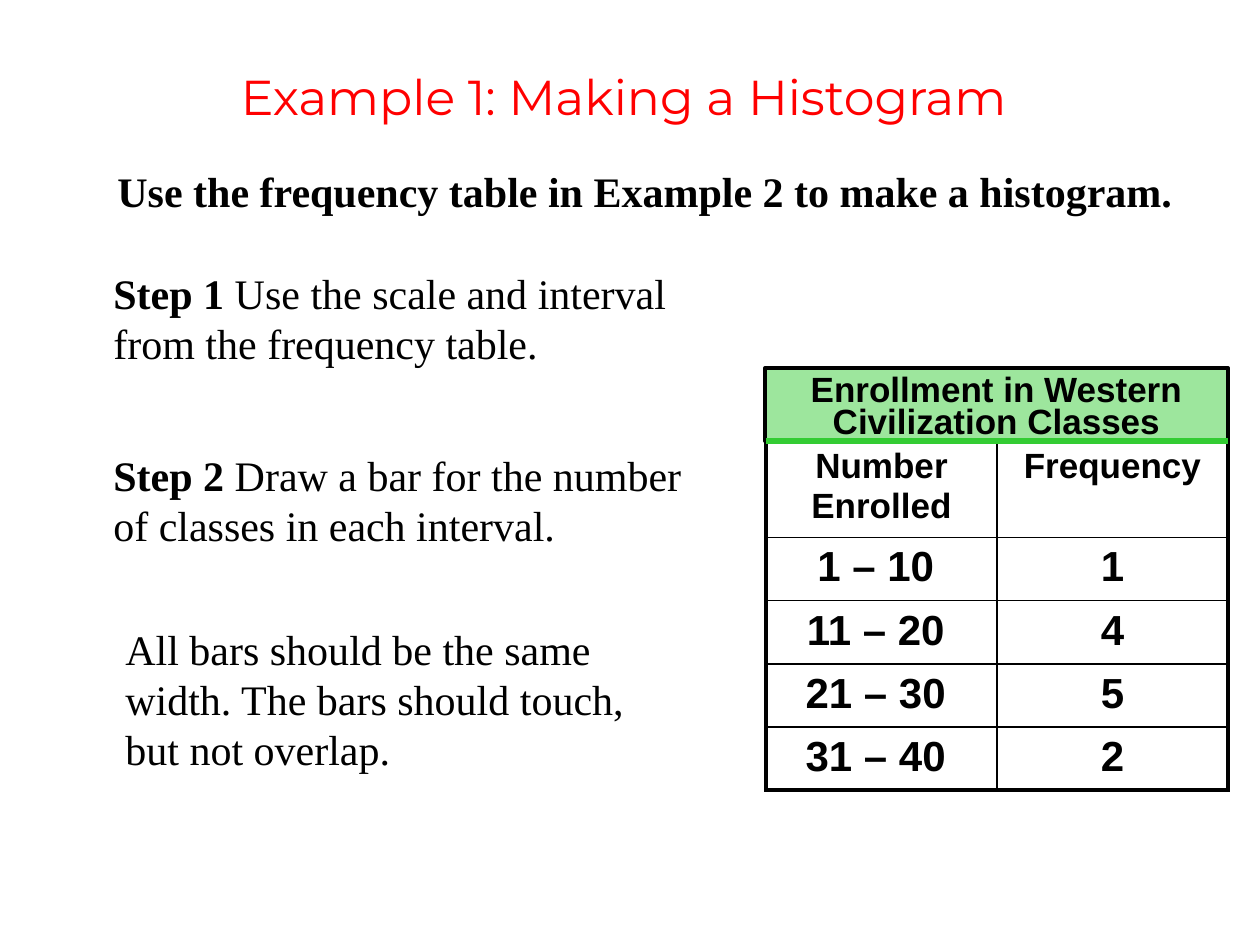
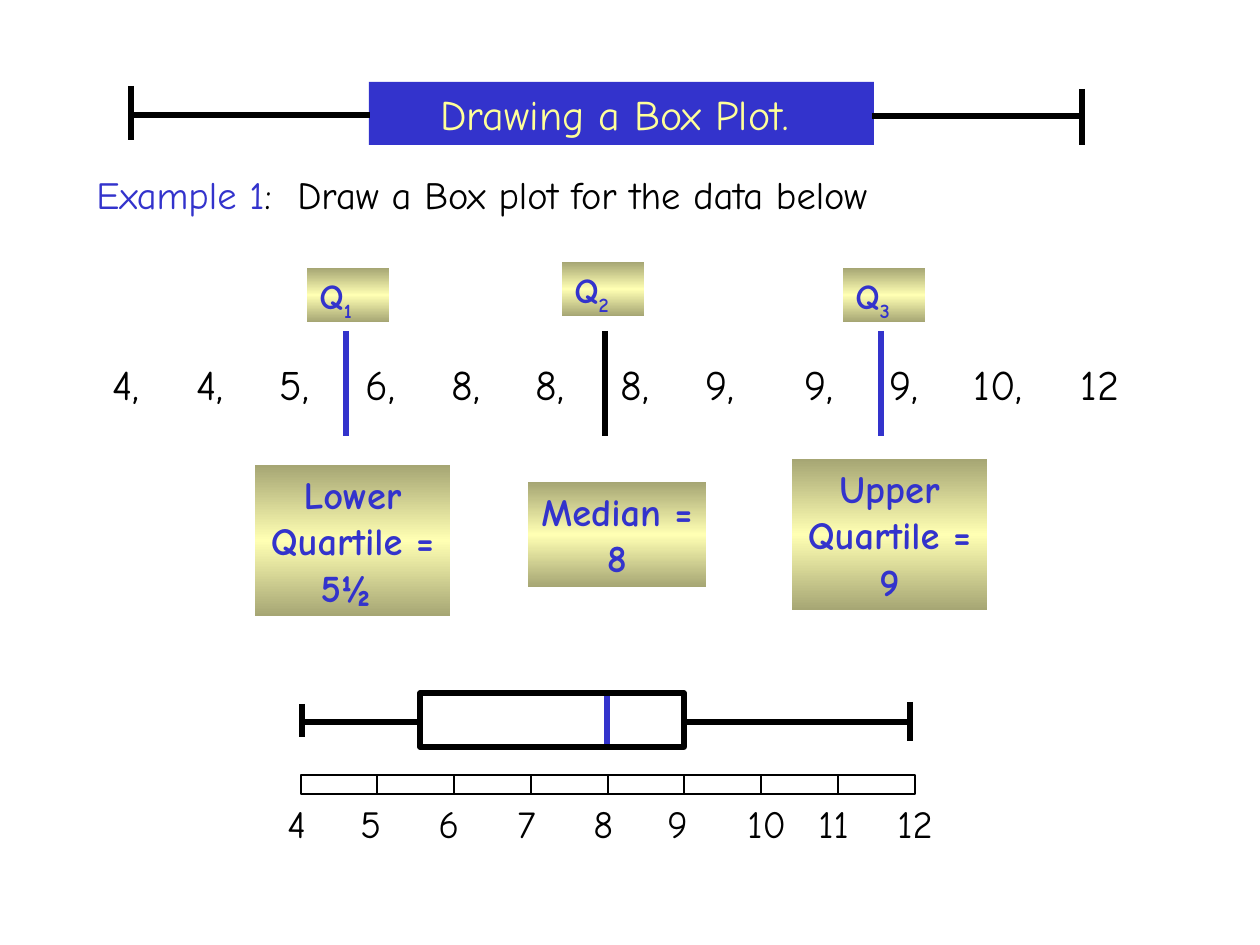
"""Build two statistics slides: making a histogram and drawing a box plot."""
from copy import deepcopy

from lxml import etree
from pptx import Presentation
from pptx.dml.color import RGBColor
from pptx.enum.shapes import MSO_CONNECTOR, MSO_SHAPE
from pptx.enum.text import MSO_ANCHOR, PP_ALIGN
from pptx.oxml.ns import qn
from pptx.util import Emu, Pt

PX = 914400 / 126
RECTANGLE = MSO_SHAPE.RECTANGLE
STRAIGHT = MSO_CONNECTOR.STRAIGHT
TOP, MIDDLE = MSO_ANCHOR.TOP, MSO_ANCHOR.MIDDLE
LEFT, CENTER = PP_ALIGN.LEFT, PP_ALIGN.CENTER


class Theme:
    """Colours, line widths and text styles."""
    black, red, blue = "000000", "FF0000", "3333CC"
    green, yellow = "33CC33", "FFFF99"
    gradient = ("A6A674", "FFFFB3")
    thin, fine, medium, thick = 0.75, 1, 2.25, 3
    styles = {
        "title": ("Montserrat", 28, False, red),
        "body": ("Times New Roman", 24, False, black),
        "strong": ("Times New Roman", 24, True, black),
        "heading": ("Arial", 20, True, black),
        "count": ("Arial", 24, True, black),
        "banner": ("Comic Neue", 24, False, yellow),
        "data": ("Comic Neue", 24, False, black),
        "plain": ("Comic Neue", 22, False, black),
        "example": ("Comic Neue", 22, False, blue),
        "quartile": ("Comic Neue", 22, True, blue),
        "symbol": ("Comic Neue", 20, True, blue),
        "subscript": ("Comic Neue", 20, True, blue),
    }


def write(frame, paragraphs, align=LEFT, anchor=TOP, tabs=()):
    """Fill a text frame with paragraphs made of (text, style) spans."""
    frame.word_wrap = True
    frame.vertical_anchor = anchor
    for index, spans in enumerate(paragraphs):
        para = frame.paragraphs[0] if index == 0 else frame.add_paragraph()
        para.alignment = align
        if tabs:
            stops = etree.SubElement(para._p.get_or_add_pPr(), qn("a:tabLst"))
            for stop in tabs:
                etree.SubElement(stops, qn("a:tab"), pos=str(round(stop * PX)), algn="l")
        for text, style in spans:
            span = para.add_run()
            span.text = text
            name, size, bold, colour = Theme.styles[style]
            for key, value in {"name": name, "size": Pt(size), "bold": bold}.items():
                setattr(span.font, key, value)
            span.font.color.rgb = RGBColor.from_string(colour)
            if style == "subscript":
                span.font._element.set("baseline", "-25000")


def draw(page, kind, bounds, fill=None, line=None, width=Theme.thick):
    """Add a text box, rectangle or line; a line's bounds are its two ends."""
    lengths = [Emu(round(value * PX)) for value in bounds]
    if kind == "text":
        return page.shapes.add_textbox(*lengths)
    if kind == "line":
        item = page.shapes.add_connector(STRAIGHT, *lengths)
        etree.SubElement(item._element.spPr, qn("a:effectLst"))
    else:
        item = page.shapes.add_shape(RECTANGLE, *lengths)
        item.shadow.inherit = False
        if fill == Theme.gradient:
            item.fill.gradient()
            item.fill.gradient_angle = 90
            for stop, colour, position in zip(item.fill.gradient_stops, fill, (0, 0.5)):
                stop.color.rgb = RGBColor.from_string(colour)
                stop.position = position
            stops = item._element.spPr.find(".//" + qn("a:gsLst"))
            stops.append(deepcopy(stops[0]))
            stops[-1].set("pos", "100000")
        elif fill:
            item.fill.solid()
            item.fill.fore_color.rgb = RGBColor.from_string(fill)
        else:
            item.fill.background()
    if line:
        item.line.color.rgb = RGBColor.from_string(line)
        item.line.width = Pt(width)
    else:
        item.line.fill.background()
    return item


deck = Presentation()
deck.slide_width, deck.slide_height = Emu(round(1260 * PX)), Emu(round(945 * PX))
blank = deck.slide_layouts[6]

page = deck.slides.add_slide(blank)
title = draw(page, "text", (0, 60, 1260, 72))
write(title.text_frame, [[("Example 1: Making a Histogram ", "title")]], CENTER, MIDDLE)
instructions = [
    ((105, 159, 1084, 63), [("Use the frequency table in Example 2 to make a histogram.", "strong")]),
    ((101, 261, 664, 115), [("Step 1 ", "strong"),
                            ("Use the scale and interval from the frequency table.", "body")]),
    ((101, 443, 632, 115), [("Step 2 ", "strong"),
                            ("Draw a bar for the number of classes in each interval.", "body")]),
    ((113, 617, 570, 165), [("All bars should be the same width. "
                             "The bars should touch, but not overlap.", "body")]),
]
for bounds, spans in instructions:
    write(draw(page, "text", bounds).text_frame, [spans])

frequencies = [("Number Enrolled", "Frequency"), ("1 – 10 ", "1"), ("11 – 20 ", "4"),
               ("21 – 30 ", "5"), ("31 – 40 ", "2")]
heights = [96, 63, 63, 63, 63]
bounds = [Emu(round(value * PX)) for value in (766, 441, 462, sum(heights))]
table = page.shapes.add_table(len(frequencies), 2, *bounds).table
table.first_row = table.horz_banding = False
for row, (labels, height) in enumerate(zip(frequencies, heights)):
    table.rows[row].height = Emu(round(height * PX))
    for column, label in enumerate(labels):
        cell = table.cell(row, column)
        cell.fill.background()
        write(cell.text_frame, [[(label, "count" if row else "heading")]], CENTER)
        outer = {"lnL": column == 0, "lnR": column == 1,
                 "lnT": row == 0, "lnB": row == len(frequencies) - 1}
        for position, (side, is_outer) in enumerate(outer.items()):
            width = Theme.medium if is_outer else Theme.fine
            border = etree.Element(qn("a:" + side), w=str(Pt(width)))
            solid = etree.SubElement(border, qn("a:solidFill"))
            etree.SubElement(solid, qn("a:srgbClr"), val=Theme.black)
            cell._tc.get_or_add_tcPr().insert(position, border)

caption = draw(page, "shape", (765, 368, 463, 73), Theme.green, Theme.black, Theme.medium)
colour = caption._element.spPr.find(qn("a:solidFill")).find(qn("a:srgbClr"))
etree.SubElement(colour, qn("a:alpha"), val="48000")
write(caption.text_frame, [[("Enrollment in Western", "heading")],
                           [("Civilization Classes", "heading")]], CENTER, MIDDLE)
caption.text_frame.word_wrap = False
caption.text_frame.paragraphs[1].line_spacing = 0.75
draw(page, "line", (766, 441, 1228, 441), line=Theme.green)

page = deck.slides.add_slide(blank)
banner = draw(page, "shape", (369, 82, 505, 63), Theme.blue)
write(banner.text_frame, [[("Drawing a Box Plot. ", "banner")]], CENTER)
example = draw(page, "text", (84, 165, 1137, 59))
write(example.text_frame, [[("Example 1", "example"),
                            (":\tDraw a Box plot for the data below", "plain")]], tabs=[201])
values = draw(page, "text", (100, 352, 1102, 63))
write(values.text_frame, [[("4,\t4,\t5,\t6,\t8,\t8,\t8,\t9,\t9,\t9,\t10,\t12", "data")]],
      tabs=[84, 167, 253, 339, 423, 508, 593, 692, 777, 861, 968])

quartiles = [
    ("1", (307, 268), 346, Theme.blue, "Lower Quartile = 5½ ", (255, 465, 195, 151)),
    ("2", (562, 262), 605, Theme.black, "Median = 8", (528, 482, 178, 105)),
    ("3", (843, 268), 881, Theme.blue, "Upper Quartile = 9", (792, 459, 195, 151)),
]
for number, corner, x, colour, summary, bounds in quartiles:
    draw(page, "line", (x, 331, x, 436), line=colour)
    symbol = draw(page, "shape", (*corner, 82, 54), Theme.gradient)
    write(symbol.text_frame, [[("Q", "symbol"), (number, "subscript")]])
    box = draw(page, "shape", bounds, Theme.gradient)
    write(box.text_frame, [[(summary, "quartile")]], CENTER)

for step in range(8):
    start, end = (301 + 614 * edge // 8 for edge in (step, step + 1))
    draw(page, "shape", (start, 775, end - start, 19), line=Theme.black, width=Theme.thin)
label_lefts = [275, 348, 426, 505, 581, 655, 735, 806, 885]
for value, left in enumerate(label_lefts, start=4):
    label = draw(page, "text", (left, 794, 53 if value < 10 else 84, 59))
    write(label.text_frame, [[(str(value), "plain")]])

draw(page, "line", (607, 747, 607, 693), line=Theme.blue)
draw(page, "shape", (420, 693, 264, 54), line=Theme.black)
whiskers = [(131, 370, 115, 131, 86, 140), (872, 1085, 116, 1082, 89, 145),
            (301, 422, 722, 302, 704, 737), (684, 912, 722, 910, 702, 741)]
for start, end, y, cap, top, bottom in whiskers:
    draw(page, "line", (start, y, end, y), line=Theme.black)
    draw(page, "line", (cap, top, cap, bottom), line=Theme.black)

deck.save("out.pptx")
